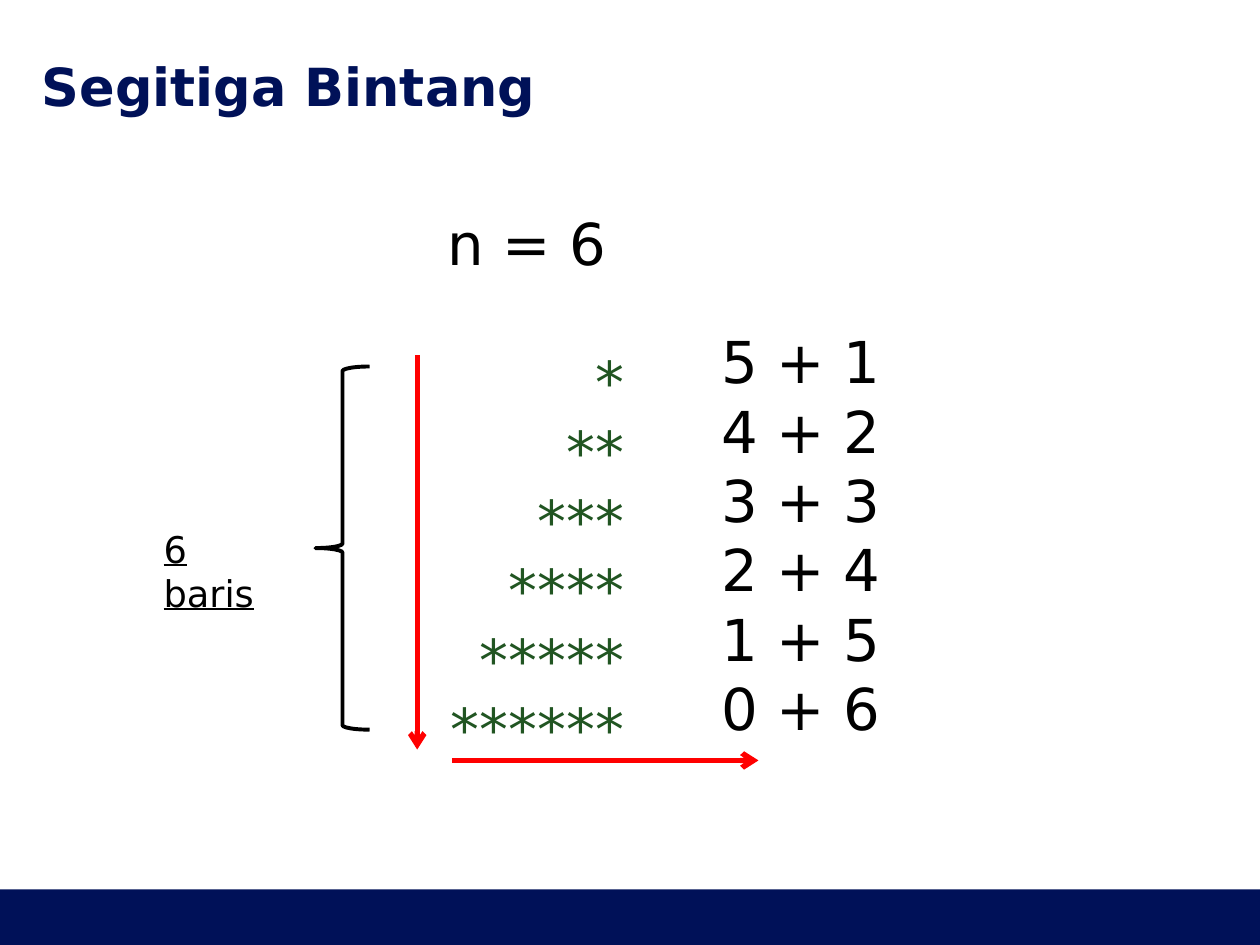
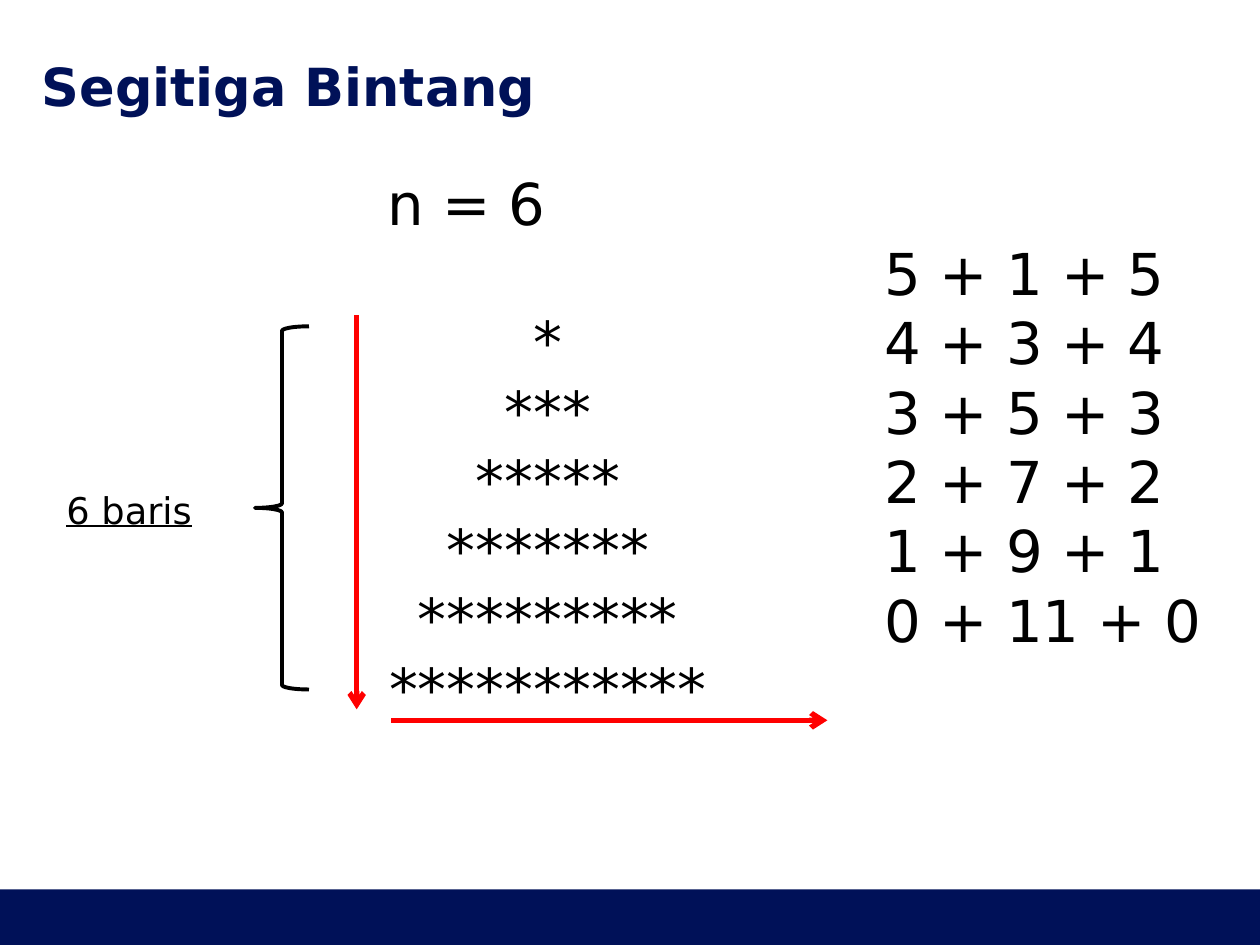
from lxml import etree
from pptx import Presentation
from pptx.dml.color import RGBColor
from pptx.enum import shapes, text
from pptx.oxml import ns
from pptx.util import Cm, Pt

NAVY = RGBColor(0x00, 0x11, 0x58)
GREEN = RGBColor(0x21, 0x55, 0x22)
RED = RGBColor(0xFF, 0x00, 0x00)
BLACK = RGBColor(0x00, 0x00, 0x00)
FONT = "DejaVu Sans"
ROWS = 6
BIG, SMALL = 33, 21
LINE_RATIO = 1.2


def add_run(paragraph, content, size, color=BLACK, bold=False, underline=False):
    run = paragraph.add_run()
    run.text = content
    font = run.font
    font.name, font.size = FONT, Pt(size)
    font.bold, font.underline = bold, underline
    font.color.rgb = color


def add_text_box(slide, left, top, width, height):
    frame = slide.shapes.add_textbox(Cm(left), Cm(top), Cm(width), Cm(height)).text_frame
    frame.word_wrap = True
    return frame


def add_line_of_text(frame, content, size, color=BLACK, align=text.PP_ALIGN.LEFT, underline=False):
    paragraph = frame.paragraphs[0]
    if paragraph.runs:
        paragraph = frame.add_paragraph()
    paragraph.alignment = align
    paragraph.line_spacing = Pt(round(size * LINE_RATIO, 1))
    add_run(paragraph, content, size, color, underline=underline)
    return paragraph


def add_title(slide, content):
    title = slide.shapes.title
    title.left, title.top = Cm(0.84), Cm(1.12)
    title.width, title.height = Cm(23.72), Cm(1.19)
    frame = title.text_frame
    frame.margin_left = frame.margin_right = frame.margin_top = frame.margin_bottom = 0
    frame.vertical_anchor = text.MSO_ANCHOR.MIDDLE
    frame.auto_size = text.MSO_AUTO_SIZE.NONE
    frame.paragraphs[0].alignment = text.PP_ALIGN.LEFT
    add_run(frame.paragraphs[0], content, 30, NAVY, bold=True)


def add_band(slide):
    band = slide.shapes.add_shape(shapes.MSO_SHAPE.RECTANGLE, 0, Cm(17.93), Cm(25.4), Cm(1.12))
    band.shadow.inherit = False
    band.fill.solid()
    band.fill.fore_color.rgb = NAVY
    band.line.fill.background()


def add_brace(slide, left, top):
    brace = slide.shapes.add_shape(shapes.MSO_SHAPE.LEFT_BRACE, Cm(left), Cm(top), Cm(1.09), Cm(7.32))
    brace.shadow.inherit = False
    brace.fill.background()
    brace.line.color.rgb = BLACK
    brace.line.width = Pt(2.25)


def add_arrow(slide, start_x, start_y, end_x, end_y):
    arrow = slide.shapes.add_connector(
        shapes.MSO_CONNECTOR.STRAIGHT, Cm(start_x), Cm(start_y), Cm(end_x), Cm(end_y))
    arrow.line.color.rgb = RED
    arrow.line.width = Pt(3)
    properties = arrow.element.spPr
    etree.SubElement(properties.find(ns.qn("a:ln")), ns.qn("a:tailEnd"), type="arrow")
    etree.SubElement(properties, ns.qn("a:effectLst"))


def add_triangle(slide, left, top, width, right_margin, star_counts, color, align):
    frame = add_text_box(slide, left, top, width, 11.53)
    frame.margin_left, frame.margin_right = Cm(0.22), Cm(right_margin)
    add_line_of_text(frame, f"n = {ROWS}", BIG)
    for row, count in enumerate(star_counts):
        paragraph = add_line_of_text(frame, "*" * count, BIG, color, align)
        if row == 0:
            paragraph.space_before = Pt(round(BIG * LINE_RATIO, 1))


def add_row_measures(slide, left, top, arrow_length):
    add_brace(slide, left - 2.45, top + 3.33)
    add_arrow(slide, left - 0.4, top + 3.1, left - 0.4, top + 11.05)
    add_arrow(slide, left + 0.3, top + 11.27, left + 0.3 + arrow_length, top + 11.27)


def add_row_label(slide, left, top, width, height):
    frame = add_text_box(slide, left, top, width, height)
    add_line_of_text(frame, f"{ROWS} baris", SMALL, underline=True)


def add_sums(slide, left, top, width, sums):
    frame = add_text_box(slide, left, top, width, 8.71)
    for terms in sums:
        add_line_of_text(frame, " + ".join(str(term) for term in terms), BIG)


def new_slide(presentation):
    slide = presentation.slides.add_slide(presentation.slide_layouts[5])
    add_band(slide)
    add_title(slide, "Segitiga Bintang")
    return slide


def build_right_triangle(presentation):
    slide = new_slide(presentation)
    left, top = 8.81, 4.06
    counts = range(1, ROWS + 1)
    add_triangle(slide, left, top, 5.11, 1.34, counts, GREEN, text.PP_ALIGN.RIGHT)
    add_row_measures(slide, left, top, 6.18)
    add_row_label(slide, 3.05, 10.49, 2.9, 2.06)
    add_sums(slide, 14.3, 6.45, 4.09, [(ROWS - count, count) for count in counts])


def build_centred_triangle(presentation):
    slide = new_slide(presentation)
    left, top = 7.59, 3.25
    counts = range(1, 2 * ROWS, 2)
    add_triangle(slide, left, top, 9.55, 2.86, counts, BLACK, text.PP_ALIGN.CENTER)
    add_row_measures(slide, left, top, 8.79)
    add_row_label(slide, 1.09, 9.7, 3.63, 1.14)
    sums = [(ROWS - 1 - row, count, ROWS - 1 - row) for row, count in enumerate(counts)]
    add_sums(slide, 17.58, 4.67, 8.18, sums)


def main():
    presentation = Presentation()
    presentation.slide_width, presentation.slide_height = Cm(25.4), Cm(19.05)
    build_right_triangle(presentation)
    build_centred_triangle(presentation)
    presentation.save("out.pptx")


if __name__ == "__main__":
    main()
